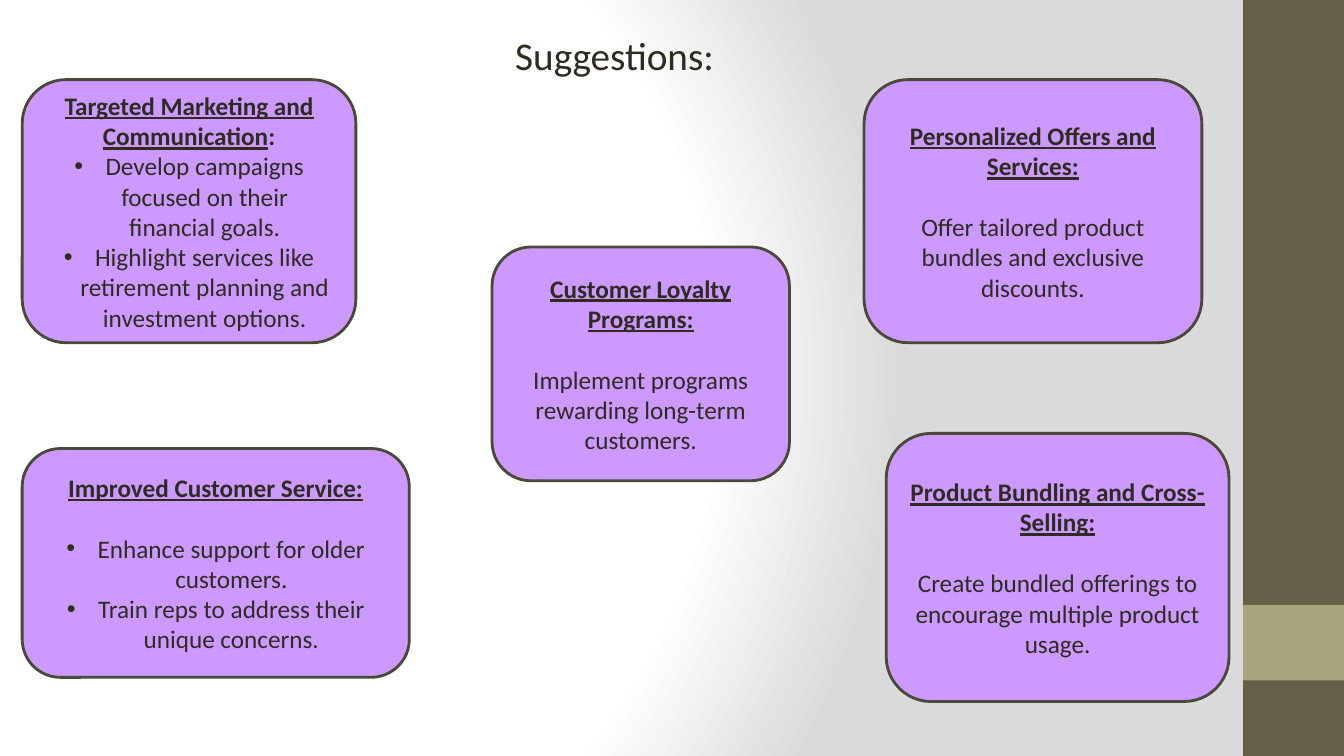
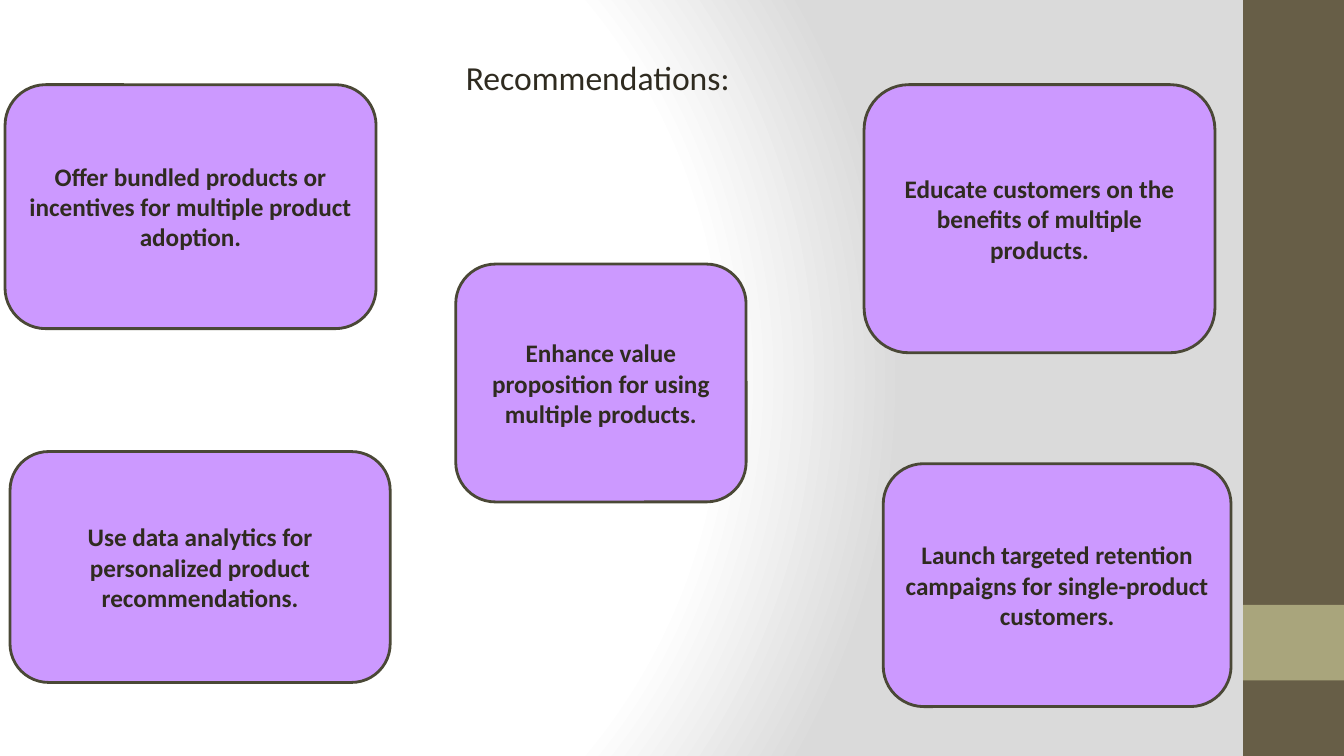
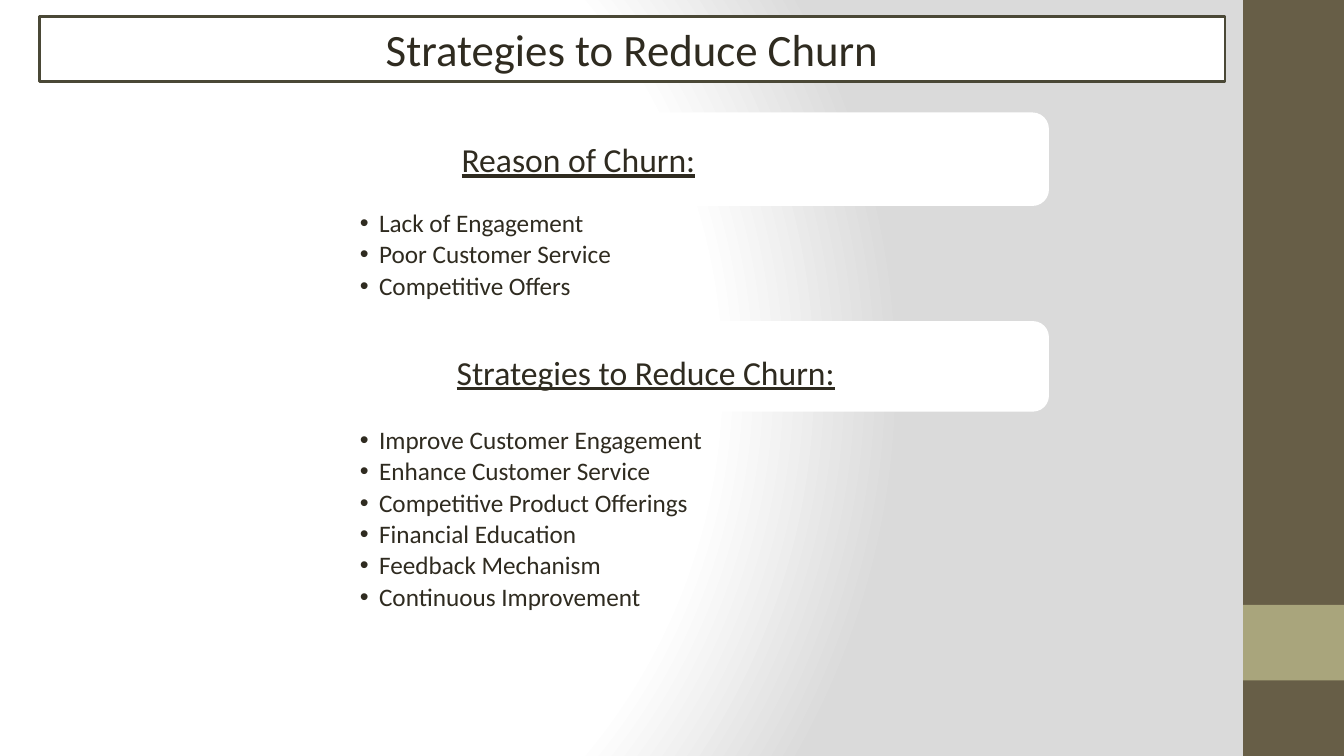
from dataclasses import dataclass
from pptx import Presentation
from pptx.dml.color import RGBColor
from pptx.enum.shapes import MSO_SHAPE
from pptx.enum.text import MSO_ANCHOR, MSO_AUTO_SIZE, PP_ALIGN
from pptx.oxml import parse_xml
from pptx.oxml.ns import nsdecls
from pptx.util import Inches, Pt


@dataclass(frozen=True)
class Theme:
    font: str = "Calibri"
    ink: str = "2F2B20"
    edge: str = "4A4836"
    card: str = "CC99FF"
    white: str = "FFFFFF"
    shade: str = "DADADA"
    band: str = "675E47"
    accent: str = "A9A57C"
    body: int = 18
    head: int = 24
    gap: int = 22


theme = Theme()


def block(slide, kind, at, fill, edge=None):
    shape = slide.shapes.add_shape(kind, *[Inches(n) for n in at])
    shape.shadow.inherit = False
    shape.fill.solid()
    shape.fill.fore_color.rgb = RGBColor.from_string(fill)
    if edge:
        shape.line.color.rgb = RGBColor.from_string(edge)
        shape.line.width = Pt(2)
    else:
        shape.line.fill.background()
    return shape


def write(frame, runs, size=theme.body, align=PP_ALIGN.LEFT, hang=None):
    """Add a paragraph of (text, bold, underline) runs; hang sets a bullet's indent in inches."""
    para = frame.add_paragraph() if frame.text else frame.paragraphs[0]
    para.alignment = align
    if hang:
        props = para._p.get_or_add_pPr()
        props.set("marL", str(Inches(hang)))
        props.set("indent", str(-Inches(hang)))
        props.append(parse_xml(f'<a:buFont {nsdecls("a")} typeface="Arial"/>'))
        props.append(parse_xml(f'<a:buChar {nsdecls("a")} char="•"/>'))
    for text, bold, under in runs:
        run = para.add_run()
        run.text = text
        run.font.name = theme.font
        run.font.size = Pt(size)
        run.font.bold = bold
        run.font.underline = under
        run.font.color.rgb = RGBColor.from_string(theme.ink)
    return para


prs = Presentation()
prs.slide_width, prs.slide_height = Inches(13.33), Inches(7.5)
master = prs.slide_master

# Shared background
master.background.fill.gradient()
old = master.element.xpath(".//p:bg//a:gradFill")[0]
stops = "".join(
    f'<a:gs pos="{pos * 1000}"><a:srgbClr val="{tint}"/></a:gs>'
    for pos, tint in ((0, theme.white), (75, theme.white), (100, theme.shade))
)
old.getparent().replace(old, parse_xml(
    f'<a:gradFill {nsdecls("a")} rotWithShape="1"><a:gsLst>{stops}</a:gsLst>'
    '<a:path path="circle"><a:fillToRect l="20000" t="50000" r="100000" b="50000"/>'
    "</a:path></a:gradFill>"
))

# Slides and titles
titles = [
    ("Suggestions:", (5.01, 0.26, 2.68, 0.57), 28, PP_ALIGN.LEFT),
    ("Recommendations:", (4.52, 0.51, 3.15, 0.5), theme.head, PP_ALIGN.LEFT),
    ("Strategies to Reduce Churn", (0.39, 0.16, 11.76, 0.65), 32, PP_ALIGN.CENTER),
]
slides = []
for text, at, size, align in titles:
    slide = prs.slides.add_slide(prs.slide_layouts[5])
    title = slide.shapes.title
    title.left, title.top, title.width, title.height = [Inches(n) for n in at]
    title.text_frame.auto_size = MSO_AUTO_SIZE.NONE
    title.text_frame.vertical_anchor = MSO_ANCHOR.MIDDLE
    write(title.text_frame, [(text, False, False)], size, align)
    slides.append(slide)
ideas, advice, churn = slides

# Side bands, moved to the master behind its placeholders
for spot, (top, high, fill) in enumerate(((0, 7.5, theme.band), (6, 0.75, theme.accent))):
    band = block(ideas, MSO_SHAPE.RECTANGLE, (12.33, top, 1, high), fill)
    master.shapes._spTree.insert(2 + spot, band._element)

# Cards: slide, place, heading runs, gap below heading, lines, bullet indent
cards = [
    (ideas, (0.22, 0.79, 3.31, 2.61),
     [("Targeted Marketing and Communication", True, True), (":", True, False)], 0,
     ["Develop campaigns focused on their financial goals.",
      "Highlight services like retirement planning and investment options."], 0.31),
    (ideas, (8.57, 0.79, 3.35, 2.61),
     [("Personalized Offers and Services:", True, True)], theme.gap,
     ["Offer tailored product bundles and exclusive discounts."], None),
    (ideas, (0.22, 4.45, 3.84, 2.27),
     [("Improved Customer Service:", True, True)], theme.gap,
     ["Enhance support for older customers.",
      "Train reps to address their unique concerns."], 0.31),
    (ideas, (8.79, 4.3, 3.4, 2.66),
     [("Product Bundling and Cross-Selling:", True, True)], theme.gap,
     ["Create bundled offerings to encourage multiple product usage."], None),
    (ideas, (4.88, 2.45, 2.95, 2.32),
     [("Customer Loyalty Programs:", True, True)], theme.gap,
     ["Implement programs rewarding long-term customers."], None),
]
tips = [
    ((0.05, 0.84, 3.68, 2.42),
     "Offer bundled products or incentives for multiple product adoption."),
    ((4.52, 2.62, 2.88, 2.36), "Enhance value proposition for using multiple products."),
    ((0.1, 4.48, 3.77, 2.29), "Use data analytics for personalized product recommendations."),
    ((8.76, 4.6, 3.45, 2.41),
     "Launch targeted retention campaigns for single-product customers."),
    ((8.57, 0.84, 3.48, 2.66), "Educate customers on the benefits of multiple products."),
]
cards += [(advice, at, [(text, True, False)], 0, [], None) for at, text in tips]

for slide, at, head, gap, lines, hang in cards:
    card = block(slide, MSO_SHAPE.ROUNDED_RECTANGLE, at, theme.card, theme.edge)
    frame = card.text_frame
    frame.word_wrap = True
    frame.vertical_anchor = MSO_ANCHOR.MIDDLE
    write(frame, head, align=PP_ALIGN.CENTER).space_after = Pt(gap)
    for line in lines:
        write(frame, [(line, False, False)], align=PP_ALIGN.CENTER, hang=hang)

# Churn: framed title and two headed lists
title = churn.shapes.title
title.fill.solid()
title.fill.fore_color.rgb = RGBColor.from_string(theme.white)
title.line.color.rgb = RGBColor.from_string(theme.edge)
title.line.width = Pt(2)

parts = [
    ("Reason of Churn:", (1.13, 0.9), (4.48, 1.33, 3.58, 0.5), (2.06, 1.27),
     ["Lack of Engagement", "Poor Customer Service", "Competitive Offers"]),
    ("Strategies to Reduce Churn:", (3.2, 0.87), (4.43, 3.44, 4.18, 0.5), (4.21, 2.32),
     ["Improve Customer Engagement", "Enhance Customer Service",
      "Competitive Product Offerings", "Financial Education",
      "Feedback Mechanism", "Continuous Improvement"]),
]
left, wide = 3.35, 7.04
for head, (top, high), spot, (start, tall), lines in parts:
    block(churn, MSO_SHAPE.ROUNDED_RECTANGLE, (left, top, wide, high), theme.white, theme.white)
    label = churn.shapes.add_textbox(*[Inches(n) for n in spot]).text_frame
    label.word_wrap = True
    write(label, [(head, False, True)], theme.head)
    points = churn.shapes.add_textbox(
        Inches(left), Inches(start), Inches(wide), Inches(tall)).text_frame
    points.word_wrap = True
    points.margin_left, points.margin_right = Inches(0.22), Inches(0.14)
    points.margin_top = points.margin_bottom = Inches(0.03)
    for line in lines:
        para = write(points, [(line, False, False)], hang=0.19)
        para.line_spacing = 0.9
        para.space_after = Pt(3)

prs.save("out.pptx")
